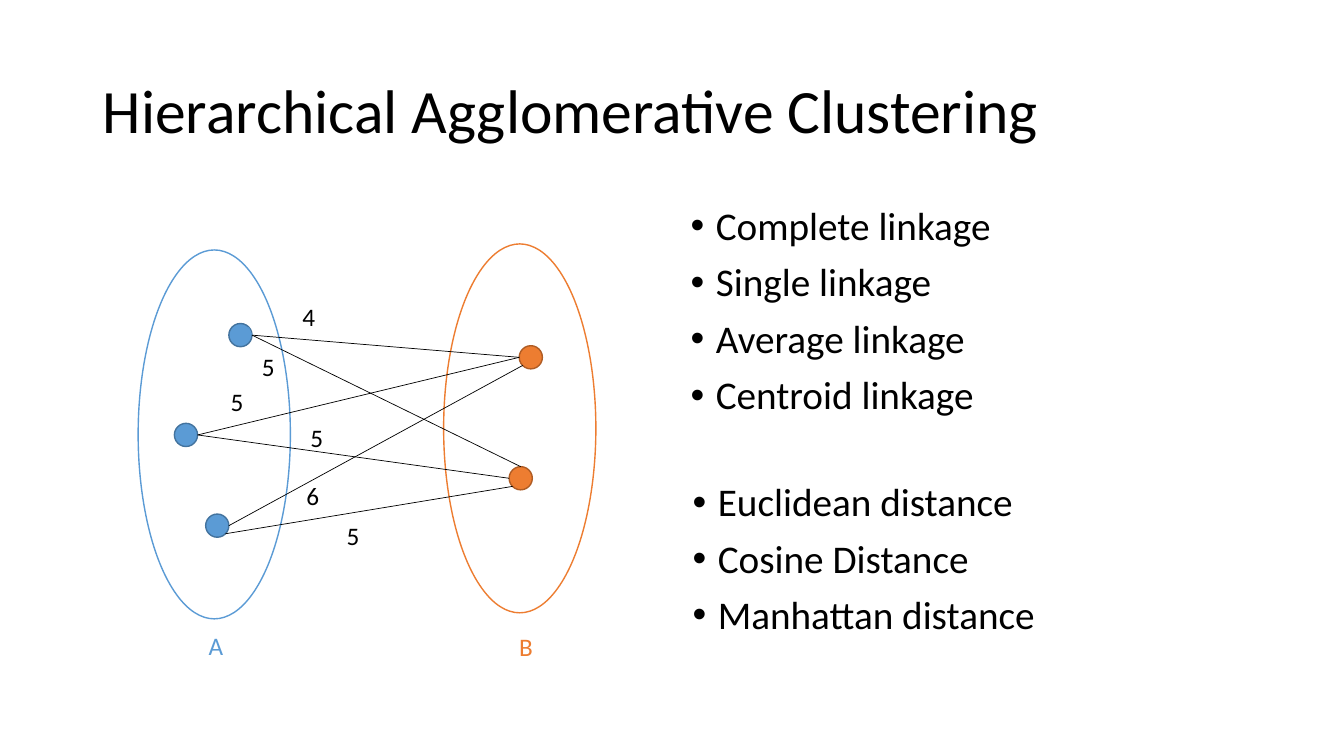
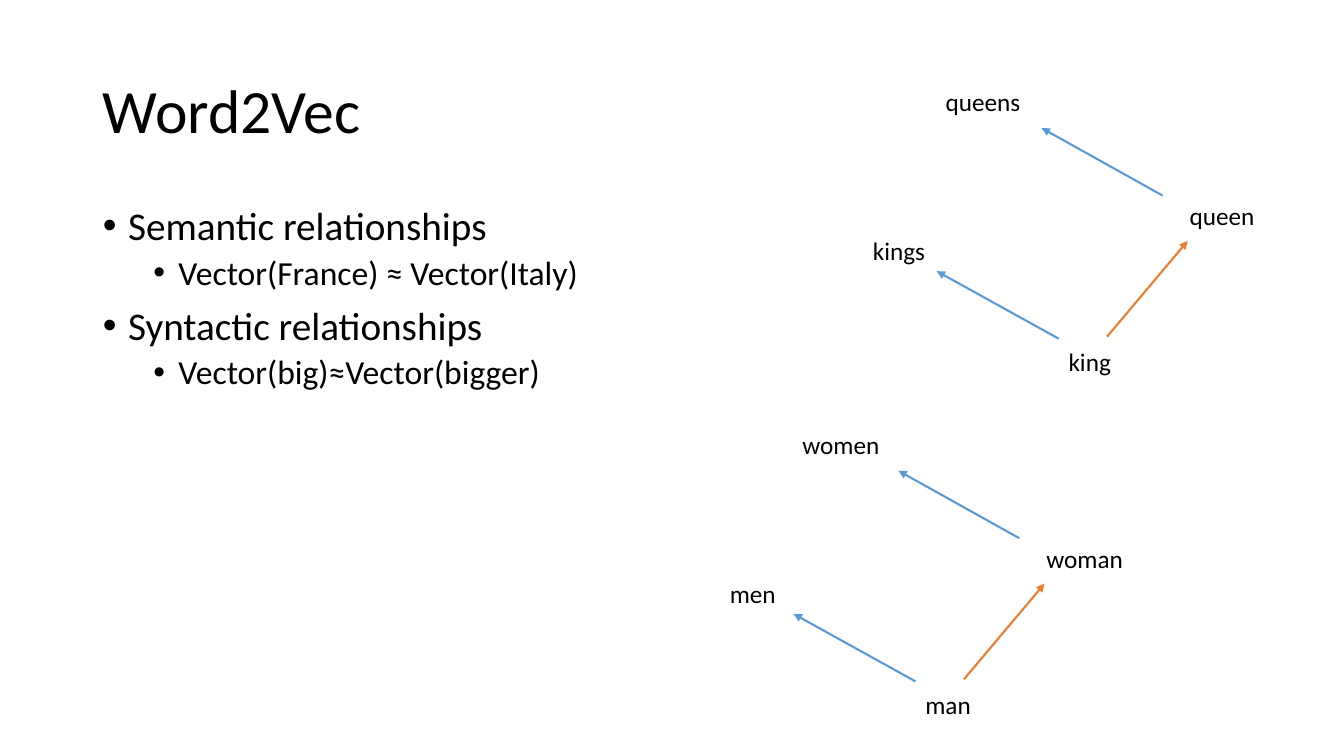
from dataclasses import dataclass

from lxml import etree
from pptx import Presentation
from pptx.dml.color import RGBColor
from pptx.enum.shapes import MSO_CONNECTOR, MSO_SHAPE
from pptx.enum.text import MSO_ANCHOR, MSO_AUTO_SIZE, PP_ALIGN
from pptx.oxml.ns import qn
from pptx.util import Inches, Pt

LINE = MSO_CONNECTOR.STRAIGHT
OVAL = MSO_SHAPE.OVAL
DOT = MSO_SHAPE.FLOWCHART_CONNECTOR
MIDDLE = MSO_ANCHOR.MIDDLE
TOP = MSO_ANCHOR.TOP
FIXED = MSO_AUTO_SIZE.NONE
GROW = MSO_AUTO_SIZE.SHAPE_TO_FIT_TEXT
LEFT = PP_ALIGN.LEFT


@dataclass(frozen=True)
class Theme:
    """Colours, type sizes and line widths of the deck."""
    font: str = "Calibri"
    black: str = "000000"
    white: str = "FFFFFF"
    blue: str = "5B9BD5"
    navy: str = "43739E"
    orange: str = "ED7D31"
    rust: str = "AF5C24"
    title: int = 44
    levels: tuple = (28, 24)
    gaps: tuple = (10, 5)
    label: int = 18
    thin: float = 0.5
    rim: float = 1
    bold: float = 1.5


THEME = Theme()
SITES = {"N": (0.5, 0), "NE": (0.85, 0.15), "E": (1, 0.5),
         "SE": (0.85, 0.85), "SW": (0.15, 0.85), "W": (0, 0.5)}


def rgb(code):
    """Turn a hex code into a colour."""
    return RGBColor.from_string(code)


def place(shape, box):
    """Move a shape to a box given in inches."""
    shape.left, shape.top, shape.width, shape.height = map(Inches, box)


def add_run(para, text, size, color=THEME.black):
    """Add one styled run to a paragraph."""
    run = para.add_run()
    run.text = text
    run.font.name = THEME.font
    run.font.size = Pt(size)
    run.font.color.rgb = rgb(color)


def add_title(slide, text):
    """Fill the title placeholder."""
    title = slide.shapes.title
    place(title, (0.92, 0.4, 11.5, 1.45))
    frame = title.text_frame
    frame.auto_size = FIXED
    frame.vertical_anchor = MIDDLE
    para = frame.paragraphs[0]
    para.alignment = LEFT
    para.line_spacing = 0.9
    add_run(para, text, THEME.title)


def add_list(holder, box, items):
    """Fill a body placeholder with bullets given as level and text."""
    place(holder, box)
    frame = holder.text_frame
    frame.auto_size = FIXED
    frame.vertical_anchor = TOP
    for index, (level, text) in enumerate(items):
        para = frame.add_paragraph() if index else frame.paragraphs[0]
        para.level = level
        para.line_spacing = 0.9
        para.space_before = Pt(THEME.gaps[level])
        props = para._p.get_or_add_pPr()
        props.set("marL", str(Inches(0.25 + 0.5 * level)))
        props.set("indent", str(Inches(-0.25)))
        etree.SubElement(props, qn("a:buFont")).set("typeface", "Arial")
        etree.SubElement(props, qn("a:buChar")).set("char", "•")
        add_run(para, text, THEME.levels[level])


def add_label(slide, x, y, width, text, color=THEME.black):
    """Add a short label that does not wrap."""
    box = slide.shapes.add_textbox(*map(Inches, (x, y, width, 0.4)))
    frame = box.text_frame
    frame.word_wrap = False
    frame.auto_size = GROW
    add_run(frame.paragraphs[0], text, THEME.label, color)


def add_oval(slide, kind, box, fill, rim):
    """Add a round shape with a fill and a rim."""
    shape = slide.shapes.add_shape(kind, *map(Inches, box))
    shape.shadow.inherit = False
    shape.fill.solid()
    shape.fill.fore_color.rgb = rgb(fill)
    shape.line.color.rgb = rgb(rim)
    shape.line.width = Pt(THEME.rim)


def add_line(slide, start, end, color, width, arrow=False):
    """Draw a straight line, with an arrowhead at its end if asked."""
    line = slide.shapes.add_connector(LINE, *map(Inches, (*start, *end)))
    line.line.color.rgb = rgb(color)
    line.line.width = Pt(width)
    if arrow:
        head = etree.SubElement(line.line._get_or_add_ln(), qn("a:tailEnd"))
        head.set("type", "triangle")
    etree.SubElement(line._element.spPr, qn("a:effectLst"))


def draw_links(slide, x, y):
    """Draw two groups of dots and the links between them."""
    size = 0.23
    dots = {"a1": (0.9, 0.79), "a2": (0.36, 1.78), "a3": (0.67, 2.68),
            "b1": (3.78, 1.01), "b2": (3.68, 2.21)}
    links = (("a1", "E", "b1", "W"), ("a2", "E", "b1", "W"),
             ("a2", "E", "b2", "W"), ("a3", "E", "b1", "SW"),
             ("a3", "SE", "b2", "SW"), ("a1", "E", "b2", "N"))
    costs = (("4", 1.53, 0.52), ("5", 1.13, 1.02), ("5", 0.82, 1.36),
             ("5", 1.61, 1.72), ("5", 1.97, 2.69), ("6", 1.57, 2.3))

    def site(dot, side):
        """Find a point on the rim of a dot."""
        return tuple(base + at + size * part for base, at, part
                     in zip((x, y), dots[dot], SITES[side]))

    for dx, dy, rim in ((0, 0.06, THEME.blue), (3.03, 0, THEME.orange)):
        add_oval(slide, OVAL, (x + dx, y + dy, 1.51, 3.66), THEME.white, rim)
    tones = {"a": (THEME.blue, THEME.navy), "b": (THEME.orange, THEME.rust)}
    for name, (dx, dy) in dots.items():
        add_oval(slide, DOT, (x + dx, y + dy, size, size), *tones[name[0]])
    for first, out, last, into in links:
        add_line(slide, site(first, out), site(last, into),
                 THEME.black, THEME.thin)
    add_line(slide, site("a1", "NE"), site("a1", "E"), THEME.blue, THEME.thin)
    for text, dx, dy in costs:
        add_label(slide, x + dx, y + dy, 0.33, text)
    add_label(slide, x + 0.6, y + 3.78, 0.35, "A", THEME.blue)
    add_label(slide, x + 3.68, y + 3.79, 0.34, "B", THEME.orange)


def draw_words(slide, x, y, words):
    """Draw four words joined by arrows for number and gender."""
    spots = ((1.94, 2.58), (0, 1.48), (3.14, 1.13), (0.72, 0))
    arrows = ((1.94, 2.55, 0.73, 1.88, THEME.blue),
              (2.97, 1.13, 1.77, 0.46, THEME.blue),
              (2.42, 2.53, 3.22, 1.58, THEME.orange))
    for (text, width), (dx, dy) in zip(words, spots):
        add_label(slide, x + dx, y + dy, width, text)
    for left, top, right, base, color in arrows:
        add_line(slide, (x + left, y + top), (x + right, y + base),
                 color, THEME.bold, arrow=True)


def cluster_slide(deck):
    """Build the slide on clustering."""
    slide = deck.slides.add_slide(deck.slide_layouts[3])
    add_title(slide, "Hierarchical Agglomerative Clustering")
    add_list(slide.placeholders[1], (6.75, 2, 5.67, 2.31),
             [(0, kind + " linkage") for kind in
              ("Complete", "Single", "Average", "Centroid")])
    add_list(slide.placeholders[2], (6.77, 4.74, 5.67, 2.31),
             [(0, "Euclidean distance"), (0, "Cosine Distance"),
              (0, "Manhattan distance")])
    draw_links(slide, 1.37, 2.42)


def vector_slide(deck):
    """Build the slide on word vectors."""
    slide = deck.slides.add_slide(deck.slide_layouts[1])
    add_title(slide, "Word2Vec")
    add_list(slide.placeholders[1], (0.92, 2, 5.67, 4.76),
             [(0, "Semantic relationships"),
              (1, "Vector(France) ≈ Vector(Italy)"),
              (0, "Syntactic relationships"),
              (1, "Vector(big)≈Vector(bigger)")])
    draw_words(slide, 8.56, 0.81, (("king", 0.63), ("kings", 0.72),
                                   ("queen", 0.85), ("queens", 0.95)))
    draw_words(slide, 7.14, 4.21, (("man", 0.66), ("men", 0.66),
                                   ("woman", 0.97), ("women", 0.97)))


def main():
    """Build and save the deck."""
    deck = Presentation()
    deck.slide_width = Inches(13.33)
    deck.slide_height = Inches(7.5)
    cluster_slide(deck)
    vector_slide(deck)
    deck.save("out.pptx")


if __name__ == "__main__":
    main()
